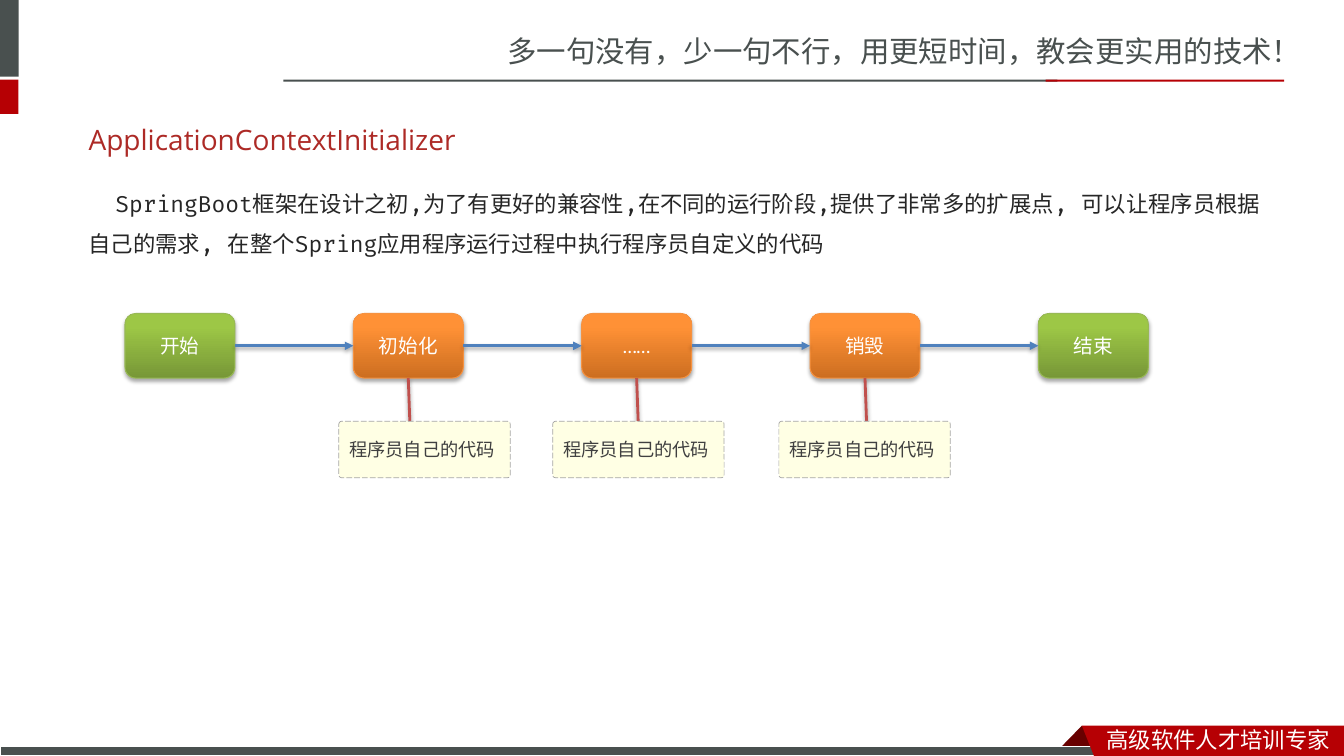
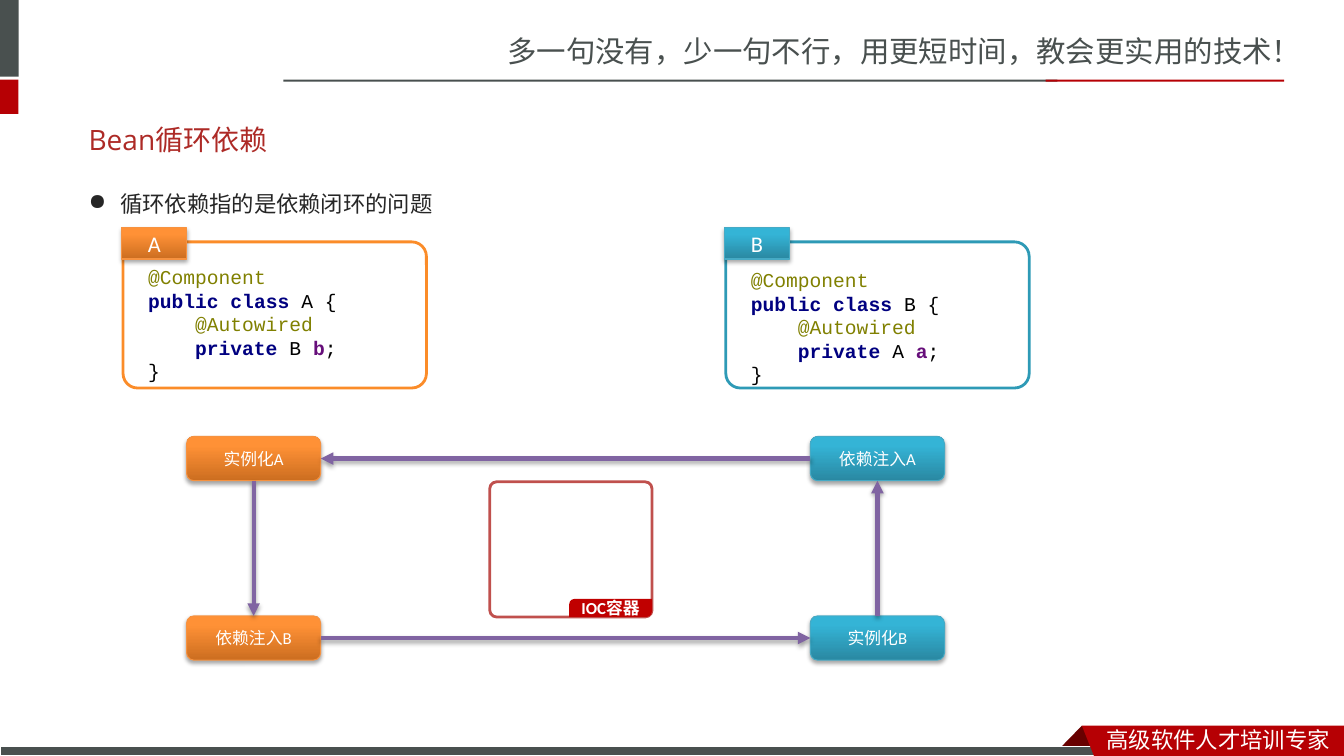
from dataclasses import dataclass

from lxml.etree import SubElement
from pptx import Presentation
from pptx.dml.color import RGBColor
from pptx.enum.dml import MSO_LINE
from pptx.enum.shapes import MSO_CONNECTOR, MSO_SHAPE as Preset
from pptx.enum.text import MSO_ANCHOR as Anchor, PP_ALIGN as Align
from pptx.oxml.ns import qn
from pptx.util import Inches, Pt

WIDTH, HEIGHT = Inches(13.33), Inches(7.5)
GREY, RED, DARK_RED, WHITE = "49504F", "B60004", "680000", "FFFFFF"
TITLE_RED, INK, BLUE, PURPLE, BRICK = "AD2A26", "262626", "4F81BD", "8064A2", "C0504D"
OLIVE, NAVY, BLACK, VIOLET = "808000", "000080", "000000", "660E7A"
CJK, CJK_NOTE = "Noto Sans CJK SC", "Noto Sans CJK JP"
GREEN = {"fill": ("779737", "9DC746"), "line": "98B955"}
ORANGE = {"fill": ("CC6E20", "FF9136"), "line": "F69240"}
TEAL = {"fill": ("2A88A2", "34B4D6"), "line": "46AAC5"}
TOP, LEFT, BOTTOM, RIGHT = range(4)


@dataclass
class Box:
    """A region measured in hundredths of the slide."""
    left: float
    top: float
    width: float
    height: float

    def inner(self, left, top, width, height):
        """Return an inner region given as percentages of this one."""
        return Box(self.left + left * self.width / 100, self.top + top * self.height / 100,
                   width * self.width / 100, height * self.height / 100)

    def point(self, across, down):
        """Return the slide position at percentages of this region."""
        return (int((self.left + across * self.width / 100) * WIDTH / 100),
                int((self.top + down * self.height / 100) * HEIGHT / 100))

    def frame(self):
        """Return left, top, width and height as slide lengths."""
        return (*self.point(0, 0), int(self.width * WIDTH / 100), int(self.height * HEIGHT / 100))


def rgb(colour):
    """Turn a hex string into a colour."""
    return RGBColor.from_string(colour)


def write(shape, text, *, size, font, colour, east=CJK, bold=False, align=Align.LEFT,
          anchor=Anchor.TOP, insets=(7.2, 3.6, 7.2, 3.6), spacing=None, before=None,
          margin=0, indent=0, bullet=None):
    """Add one paragraph, given as a string or as (text, colour, bold) spans."""
    frame = shape.text_frame
    frame.word_wrap, frame.vertical_anchor = True, anchor
    (frame.margin_left, frame.margin_top,
     frame.margin_right, frame.margin_bottom) = map(Pt, insets)
    para = frame.add_paragraph() if frame.text else frame.paragraphs[0]
    para.alignment = align
    if spacing:
        para.line_spacing = spacing
    if before:
        para.space_before = Pt(before)
    layout = para._p.get_or_add_pPr()
    layout.set("marL", str(Pt(margin)))
    layout.set("indent", str(Pt(indent)))
    if bullet:
        SubElement(layout, qn("a:buChar"), char=bullet)
    for words, tint, heavy in [(text, colour, bold)] if isinstance(text, str) else text:
        span = para.add_run()
        span.text = words
        span.font.size, span.font.name, span.font.bold = Pt(size), font, heavy
        span.font.color.rgb = rgb(tint)
        SubElement(span._r.get_or_add_rPr(), qn("a:ea"), typeface=east)


def add_text(page, box, text, **style):
    """Add a text box holding one paragraph."""
    shape = page.shapes.add_textbox(*box.frame())
    write(shape, text, **style)
    return shape


def cast_shadow(item, strength, distance):
    """Give a shape or connector a soft shadow below it."""
    outline = item._element.spPr
    effects = outline.find(qn("a:effectLst"))
    if effects is None:
        effects = SubElement(outline, qn("a:effectLst"))
    shadow = SubElement(effects, qn("a:outerShdw"), blurRad=str(Pt(3.1)),
                        dist=str(Pt(distance)), dir="5400000", rotWithShape="0")
    black = SubElement(shadow, qn("a:srgbClr"), val=BLACK)
    SubElement(black, qn("a:alpha"), val=str(strength * 1000))


def paint(shape, fill=None, line=None, weight=0.75):
    """Set a flat, graded or empty fill and an optional outline."""
    shape.shadow.inherit = False
    if fill is None:
        shape.fill.background()
    elif isinstance(fill, str):
        shape.fill.solid()
        shape.fill.fore_color.rgb = rgb(fill)
    else:
        shape.fill.gradient()
        shape.fill.gradient_angle = 90
        for stop, colour, position in zip(shape.fill.gradient_stops, fill, (0, 0.8)):
            stop.color.rgb, stop.position = rgb(colour), position
    if line is None:
        shape.line.fill.background()
    else:
        shape.line.color.rgb, shape.line.width = rgb(line), Pt(weight)
    return shape


def add_block(page, preset, box, corner=None, **look):
    """Add a painted preset shape."""
    shape = page.shapes.add_shape(preset, *box.frame())
    if corner is not None:
        shape.adjustments[0] = corner
    return paint(shape, **look)


def add_outline(page, box, points, fill):
    """Add a closed polygon with corners in percentages of the box."""
    start, *rest = [box.point(*point) for point in points]
    builder = page.shapes.build_freeform(*start, scale=1.0)
    builder.add_line_segments(rest, close=True)
    return paint(builder.convert_to_shape(), fill=fill)


def add_button(page, box, label, theme, size, preset=Preset.ROUNDED_RECTANGLE):
    """Add a graded, shadowed block with a centred label."""
    shape = add_block(page, preset, box, **theme)
    cast_shadow(shape, 35, 1.8)
    write(shape, label, size=size, font="Calibri", colour=WHITE,
          align=Align.CENTER, anchor=Anchor.MIDDLE)
    return shape


def link(page, source, site, target, target_site=None, *, colour, weight, arrow=True):
    """Connect a shape's site to another shape's site or to a point."""
    joint = page.shapes.add_connector(MSO_CONNECTOR.STRAIGHT, 0, 0, 0, 0)
    joint.begin_connect(source, site)
    if target_site is None:
        joint.end_x, joint.end_y = target
    else:
        joint.end_connect(target, target_site)
    joint.line.color.rgb, joint.line.width = rgb(colour), Pt(weight)
    if arrow:
        SubElement(joint._element.spPr.find(qn("a:ln")), qn("a:tailEnd"), type="triangle")
    cast_shadow(joint, 36, 1.7)


def add_header(page, box):
    """Draw the slogan, its rule and the corner tabs."""
    add_text(page, box.inner(37, 23.3, 63, 39), "多一句没有，少一句不行，用更短时间，教会更实用的技术！",
             size=21, font=CJK, colour=GREY)
    for place, colour in (((0, 0, 1.4, 63.3), GREY), ((0, 65.8, 1.38, 28.3), RED),
                          ((21.08, 65.8, 57.6, 1.7), GREY), ((77.8, 65.8, 17.75, 1.7), RED)):
        add_block(page, Preset.RECTANGLE, box.inner(*place), fill=colour)


def add_footer(page, box):
    """Draw the bottom bar and the folded ribbon."""
    add_outline(page, box, [(80.5, 20), (82.1, 80), (78.85, 80)], DARK_RED)
    add_block(page, Preset.RECTANGLE, box.inner(0, 76, 82.4, 24), fill=GREY, line=WHITE)
    add_outline(page, box, [(80.5, 20), (100, 20), (100, 100), (81.4, 100)], RED)
    add_text(page, box.inner(81.6, 6.7, 18.4, 98), "高级软件人才培训专家",
             size=16, font=CJK, colour=WHITE)


def add_page(deck, title, body, **style):
    """Add a slide with header, footer, title and body paragraph."""
    page, box = deck.slides.add_slide(deck.slide_layouts[6]), Box(0, 0, 100, 100)
    add_header(page, box.inner(0, 0, 100, 16))
    add_footer(page, box.inner(0, 95, 100, 5))
    add_text(page, box.inner(5.85, 14.67, 87.75, 7.6), title, size=20, font="Open Sans",
             colour=TITLE_RED, anchor=Anchor.MIDDLE)
    add_text(page, box.inner(5.85, 22.67, 89.9, 11.3), body, size=16, font="Fira Code",
             colour=INK, spacing=1.5, before=3.2, **style)
    return page, box


def add_lifecycle(page, box):
    """Draw the row of stages with a note hung below each middle one."""
    stages = [("开始", GREEN), ("初始化", ORANGE), ("……", ORANGE), ("销毁", ORANGE), ("结束", GREEN)]
    width = 10.74
    pitch = (100 - width) / (len(stages) - 1)
    buttons = [add_button(page, box.inner(index * pitch, 0, width, 39.3), label, theme, 14)
               for index, (label, theme) in enumerate(stages)]
    for source, target in zip(buttons, buttons[1:]):
        link(page, source, RIGHT, target, LEFT, colour=BLUE, weight=2)
    for index, left in enumerate((20.9, 41.8, 63.9), start=1):
        end = box.point(index * pitch + width / 2 + 0.15, 65.6)
        link(page, buttons[index], BOTTOM, end, colour=BRICK, weight=2, arrow=False)
        note = add_block(page, Preset.ROUNDED_RECTANGLE, box.inner(left, 65.6, 16.75, 34.4),
                         corner=0.05, fill="FFFFE4", line="A6A6A6", weight=0.5)
        note.line.dash_style = MSO_LINE.LONG_DASH
        write(note, "程序员自己的代码", size=13, font=CJK_NOTE, east=CJK_NOTE, colour="404040",
              anchor=Anchor.MIDDLE, insets=(7.2, 3.6, 7.2, 11.5), spacing=1.5)


def add_code_card(page, box, name, other, theme, edge, code_top):
    """Draw a framed class listing with a name tab."""
    add_block(page, Preset.ROUNDED_RECTANGLE, box.inner(0.33, 8.8, 99.67, 91.2),
              corner=0.1, line=edge, weight=2)
    add_button(page, box.inner(0, 0, 21.2, 19.5), name, theme, 16, Preset.RECTANGLE)
    code = page.shapes.add_textbox(*box.inner(5.3, code_top, 89.4, 80.5).frame())
    lines = [
        (0, [("@Component", OLIVE, False)]),
        (0, [("public class ", NAVY, True), (f"{name} {{", BLACK, False)]),
        (1, [("@Autowired", OLIVE, False)]),
        (1, [("private ", NAVY, True), (f"{other} ", BLACK, False),
             (other.lower(), VIOLET, True), (";", BLACK, False)]),
        (0, [("}", BLACK, False)]),
    ]
    for level, spans in lines:
        write(code, spans, size=14, font="Courier New", colour=BLACK, margin=level * 33.6)


def add_container(page, box):
    """Draw the empty container frame with its corner label."""
    add_block(page, Preset.ROUNDED_RECTANGLE, box, corner=0.05, line=BRICK, weight=2)
    label = add_block(page, Preset.ROUND_2_DIAG_RECTANGLE, box.inner(49, 86.6, 51, 13.4),
                      corner=0.3, fill="C00000")
    write(label, "IOC容器", size=12, font="Calibri", colour=WHITE, bold=True,
          align=Align.CENTER, anchor=Anchor.MIDDLE, insets=(0, 0, 0, 0))


def add_cycle(page, box):
    """Draw the four steps that close into a loop around the container."""
    width, height = 17.7, 19.8
    far, low = 100 - width, 100 - height
    steps = [("实例化A", 0, 0, ORANGE), ("依赖注入B", 0, low, ORANGE),
             ("实例化B", far, low, TEAL), ("依赖注入A", far, 0, TEAL)]
    buttons = [add_button(page, box.inner(left, top, width, height), label, theme, 12)
               for label, left, top, theme in steps]
    add_container(page, box.inner(40, 20.3, 21.4, 60.4))
    sites = [(BOTTOM, TOP), (RIGHT, LEFT), (TOP, BOTTOM), (LEFT, RIGHT)]
    for source, target, (leave, enter) in zip(buttons, buttons[1:] + buttons[:1], sites):
        link(page, source, leave, target, enter, colour=PURPLE, weight=3)


def main():
    """Build and save the deck."""
    deck = Presentation()
    deck.slide_width, deck.slide_height = WIDTH, HEIGHT

    page, box = add_page(
        deck, "ApplicationContextInitializer",
        "SpringBoot框架在设计之初,为了有更好的兼容性,在不同的运行阶段,提供了非常多的扩展点, "
        "可以让程序员根据自己的需求, 在整个Spring应用程序运行过程中执行程序员自定义的代码", indent=19.2)
    add_lifecycle(page, box.inner(9.3, 41.47, 76.14, 21.73))

    page, box = add_page(deck, "Bean循环依赖", "循环依赖指的是依赖闭环的问题",
                         margin=22.5, indent=-22.5, bullet="●")
    add_code_card(page, box.inner(9.08, 30.13, 22.65, 21.2), "A", "B", ORANGE, "FB8C29", 20.1)
    add_code_card(page, box.inner(53.93, 30.13, 22.65, 21.2), "B", "A", TEAL, "2E9AB6", 22)
    add_cycle(page, box.inner(13.88, 57.73, 56.4, 29.6))
    deck.save("out.pptx")


if __name__ == "__main__":
    main()
